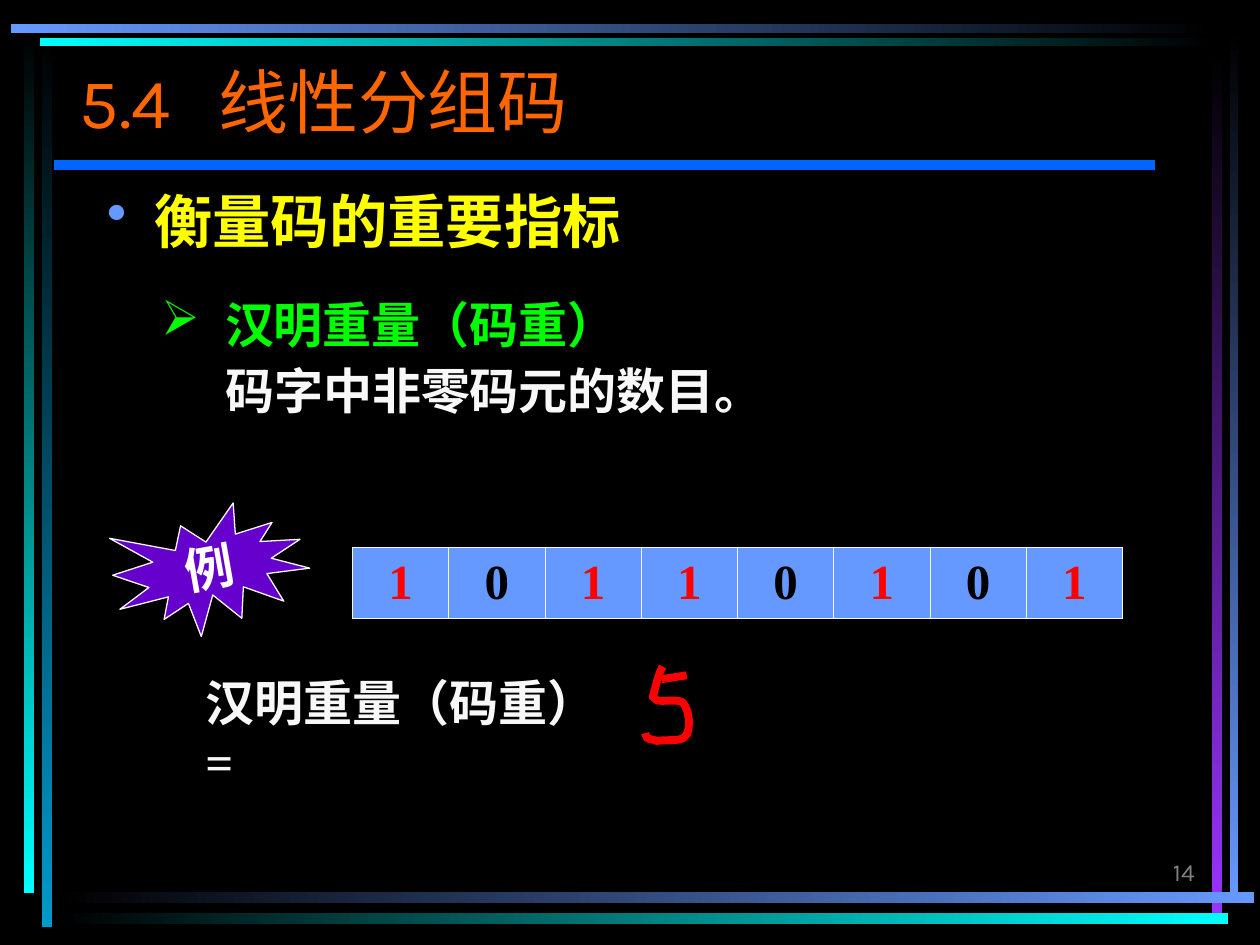
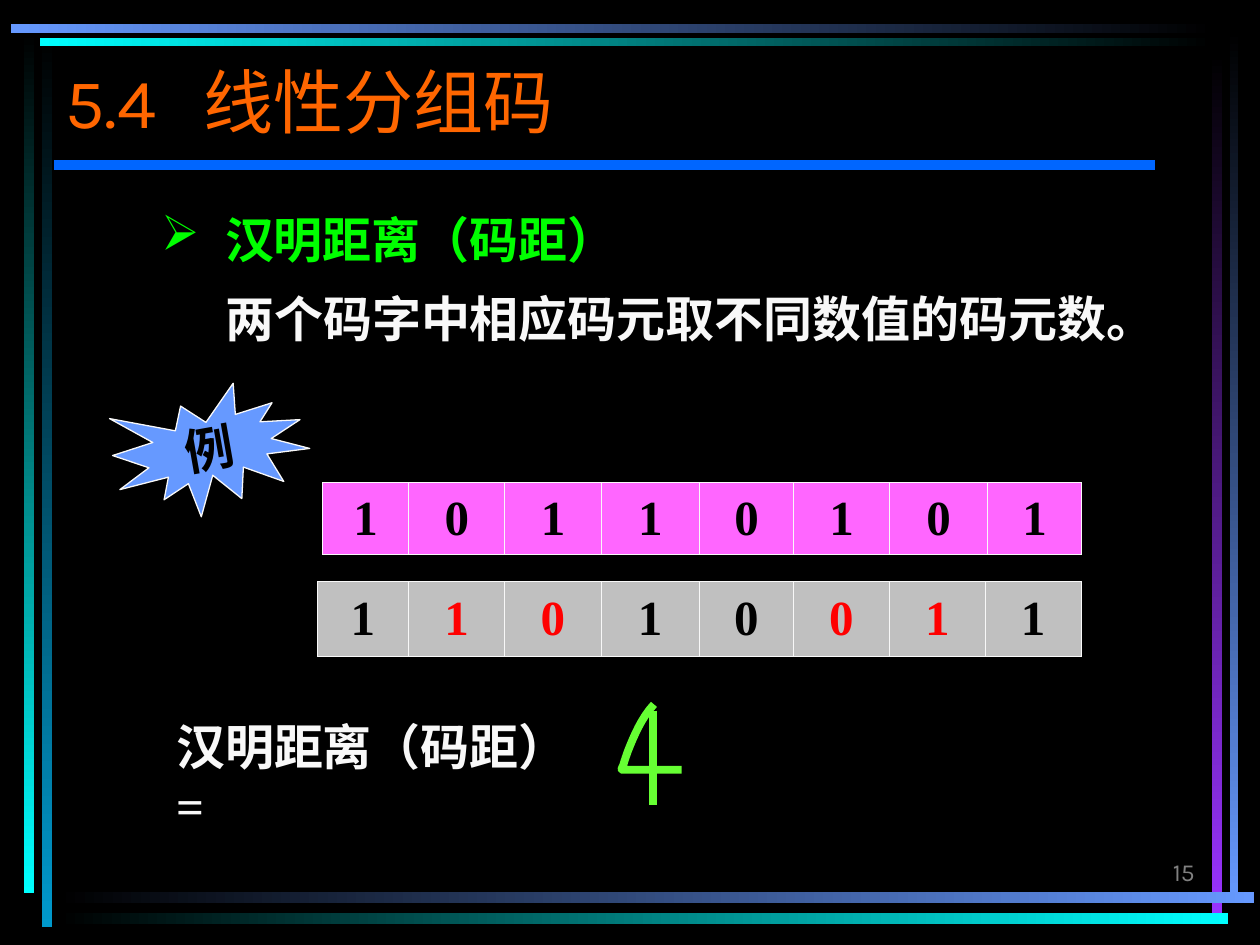
from dataclasses import dataclass

from lxml.etree import SubElement
from pptx import Presentation
from pptx.dml.color import RGBColor
from pptx.enum.shapes import MSO_CONNECTOR, MSO_SHAPE
from pptx.enum.text import MSO_ANCHOR, PP_ALIGN
from pptx.oxml.ns import qn
from pptx.util import Pt


@dataclass(frozen=True)
class Theme:
    black: str = "000000"
    white: str = "F8F8F8"
    pure_white: str = "FFFFFF"
    gray: str = "808080"
    silver: str = "C0C0C0"
    blue: str = "6699FF"
    rule_blue: str = "0066FF"
    teal: str = "0099CC"
    cyan: str = "00FFFF"
    violet: str = "9933FF"
    purple: str = "6600CC"
    pink: str = "FF66FF"
    orange: str = "FF6600"
    yellow: str = "FFFF00"
    green: str = "00FF00"
    lime: str = "66FF33"
    red: str = "FF0000"
    heading_font: str = "Karla"
    body_font: str = "Times New Roman"
    title_size: float = 40
    topic_size: float = 33.3
    body_size: float = 28
    number_size: float = 14
    thin_line: float = 0.75
    cell_line: float = 0.45
    pen_line: float = 4.5
    rule_line: float = 6


THEME = Theme()

# Frame bars: left, top, width, height, first colour, last colour
FRAME_BARS = [
    (23.8, 20.2, 5.8, 509.8, THEME.black, THEME.teal),
    (13.7, 18, 6, 492.5, THEME.black, THEME.cyan),
    (702.7, 17.3, 5, 499, THEME.black, THEME.blue),
    (692.6, 30.2, 6, 491.8, THEME.black, THEME.violet),
    (32.4, 509.8, 684, 6, THEME.black, THEME.blue),
    (32.4, 522, 669.6, 6, THEME.black, THEME.cyan),
    (23, 21.6, 671, 4.6, THEME.cyan, THEME.black),
    (6, 13.5, 688, 5.2, THEME.blue, THEME.black),
]


def color(value):
    return RGBColor.from_string(value)


def curve_points(start, segments, steps=8):
    """Points along a chain of cubic curves."""
    points = [start]
    for control_1, control_2, end in segments:
        begin = points[-1]
        for step in range(1, steps + 1):
            t = step / steps
            u = 1 - t
            points.append(tuple(
                u**3 * a + 3 * u * u * t * b + 3 * u * t * t * c + t**3 * d
                for a, b, c, d in zip(begin, control_1, control_2, end)))
    return points


class Deck:
    def __init__(self, theme):
        self.theme = theme
        self.presentation = Presentation()
        self.presentation.slide_width = Pt(720)
        self.presentation.slide_height = Pt(540)
        self.slide = None

    def new_slide(self, number, title, title_inset=7.2):
        theme = self.theme
        layout = self.presentation.slide_layouts[6]
        self.slide = self.presentation.slides.add_slide(layout)
        background = self.slide.background.fill
        background.solid()
        background.fore_color.rgb = color(theme.black)
        for bar in FRAME_BARS:
            self.gradient_bar(*bar)
        self.line((31, 94.3), (660.2, 94.3), theme.rule_blue, theme.rule_line)
        self.text(str(number), 540, 473.8, 149.8, 36, theme.number_size,
                  theme.gray, font=theme.heading_font, bold=False,
                  align=PP_ALIGN.RIGHT, anchor=MSO_ANCHOR.BOTTOM)
        self.text(title, 30.2, 30.2, 630, 66, theme.title_size, theme.orange,
                  font=theme.heading_font, bold=False, inset=title_inset, tab=79)

    def gradient_bar(self, left, top, width, height, first, last):
        bar = self.slide.shapes.add_shape(
            MSO_SHAPE.RECTANGLE, Pt(left), Pt(top), Pt(width), Pt(height))
        bar.shadow.inherit = False
        bar.line.fill.background()
        bar.fill.gradient()
        bar.fill.gradient_angle = 270 if height > width else 0
        for stop, value in zip(bar.fill.gradient_stops, (first, last)):
            stop.color.rgb = color(value)

    def line(self, start, end, value, width):
        connector = self.slide.shapes.add_connector(
            MSO_CONNECTOR.STRAIGHT, *(Pt(number) for number in start + end))
        connector.line.color.rgb = color(value)
        connector.line.width = Pt(width)
        SubElement(connector._element.spPr, qn("a:effectLst"))

    def style(self, paragraph, size, value, font=None, bold=True, align=PP_ALIGN.LEFT):
        paragraph.alignment = align
        paragraph.font.name = font or self.theme.body_font
        paragraph.font.size = Pt(size)
        paragraph.font.bold = bold
        paragraph.font.color.rgb = color(value)

    def text(self, words, left, top, width, height, size, value, font=None,
             bold=True, align=PP_ALIGN.LEFT, anchor=MSO_ANCHOR.TOP, inset=7.2,
             tab=None, bullet=None, bullet_color=None, hanging=0):
        box = self.slide.shapes.add_textbox(Pt(left), Pt(top), Pt(width), Pt(height))
        frame = box.text_frame
        frame.word_wrap = True
        frame.vertical_anchor = anchor
        frame.margin_left = Pt(inset)
        paragraph = frame.paragraphs[0]
        paragraph.text = words
        properties = paragraph._p.get_or_add_pPr()
        if bullet:
            properties.set("marL", str(Pt(hanging)))
            properties.set("indent", str(-Pt(hanging)))
            mark_color = SubElement(properties, qn("a:buClr"))
            SubElement(mark_color, qn("a:srgbClr"), val=bullet_color)
            SubElement(properties, qn("a:buChar"), char=bullet)
        if tab:
            stops = SubElement(properties, qn("a:tabLst"))
            SubElement(stops, qn("a:tab"), pos=str(Pt(tab)), algn="l")
        self.style(paragraph, size, value, font, bold, align)

    def body(self, words, left, top, width, height=41):
        self.text(words, left, top, width, height, self.theme.body_size, self.theme.white)

    def term(self, words, top):
        self.text(words, 85, top, 408.2, 41, self.theme.body_size, self.theme.green,
                  bullet="➢", bullet_color=self.theme.green, hanging=36.5)

    def example_burst(self, top, fill, value):
        burst = self.slide.shapes.add_shape(
            MSO_SHAPE.EXPLOSION1, Pt(64.8), Pt(top), Pt(111.6), Pt(72))
        burst.rotation = 350
        burst.shadow.inherit = False
        burst.fill.solid()
        burst.fill.fore_color.rgb = color(fill)
        burst.line.color.rgb = color(self.theme.white)
        burst.line.width = Pt(self.theme.thin_line)
        frame = burst.text_frame
        frame.word_wrap = False
        frame.vertical_anchor = MSO_ANCHOR.MIDDLE
        frame.paragraphs[0].text = "例"
        self.style(frame.paragraphs[0], self.theme.body_size, value, align=PP_ALIGN.CENTER)

    def codeword(self, bits, red_places, left, top, widths, height, fill):
        table = self.slide.shapes.add_table(
            1, len(bits), Pt(left), Pt(top), Pt(sum(widths)), Pt(height)).table
        table.first_row = table.horz_banding = False
        table.rows[0].height = Pt(height)
        for place, (bit, width) in enumerate(zip(bits, widths)):
            table.columns[place].width = Pt(width)
            cell = table.cell(0, place)
            cell.vertical_anchor = MSO_ANCHOR.MIDDLE
            paragraph = cell.text_frame.paragraphs[0]
            paragraph.text = bit
            value = self.theme.red if place in red_places else self.theme.black
            self.style(paragraph, self.theme.body_size, value, align=PP_ALIGN.CENTER)
            self.cell_borders(cell)
            cell.fill.solid()
            cell.fill.fore_color.rgb = color(fill)

    def cell_borders(self, cell):
        properties = cell._tc.get_or_add_tcPr()
        for side in ("a:lnL", "a:lnR", "a:lnT", "a:lnB"):
            border = SubElement(properties, qn(side), w=str(Pt(self.theme.cell_line)))
            fill = SubElement(border, qn("a:solidFill"))
            SubElement(fill, qn("a:srgbClr"), val=self.theme.white)

    def pen_stroke(self, start, segments, value):
        points = [(Pt(x), Pt(y)) for x, y in curve_points(start, segments)]
        builder = self.slide.shapes.build_freeform(*points[0])
        builder.add_line_segments(points[1:], close=False)
        stroke = builder.convert_to_shape()
        stroke.shadow.inherit = False
        stroke.fill.background()
        stroke.line.color.rgb = color(value)
        stroke.line.width = Pt(self.theme.pen_line)


def hamming_weight(deck):
    theme = deck.theme
    deck.new_slide(14, "5.4\t线性分组码", title_inset=15.5)

    # Definition
    deck.text("衡量码的重要指标", 54, 102.2, 348.5, 49, theme.topic_size, theme.yellow,
              font=theme.heading_font, bullet="•", bullet_color=theme.blue, hanging=27)
    deck.term("汉明重量（码重）", 164.9)
    deck.body("码字中非零码元的数目。", 121.7, 202.3, 345.6)

    # Example
    deck.body("汉明重量（码重）\v=", 110.2, 380.9, 257.8, 74.9)
    deck.example_burst(290.2, theme.purple, theme.pure_white)
    deck.codeword("10110101", {0, 2, 3, 5, 7}, 201.4, 312.6, [55] * 8, 41, theme.blue)

    # Handwritten 5
    deck.pen_stroke((378.7, 380.9), [
        ((375.8, 385.9), (375.1, 391.7), (373, 398.2)),
        ((374.4, 398.9), (375.1, 400.3), (375.8, 400.3)),
        ((380.2, 401), (385.2, 399.6), (389.5, 401)),
        ((391.7, 402.5), (393.1, 407.5), (393.1, 407.5)),
        ((393.1, 409), (393.8, 411.1), (393.8, 412.6)),
        ((393.8, 426.2), (385.9, 421.9), (375.1, 423.4)),
        ((373.7, 422.6), (371.5, 422.6), (370.1, 421.9)),
        ((369.4, 421.2), (368.6, 419), (368.6, 419)),
    ], theme.red)
    deck.line((378, 388.1), (392.4, 385.9), theme.red, theme.pen_line)


def hamming_distance(deck):
    theme = deck.theme
    deck.new_slide(15, "5.4\t线性分组码")

    # Definition
    deck.term("汉明距离（码距）", 115.9)
    deck.body("两个码字中相应码元取不同数值的码元数。", 121.7, 161.3, 558.7)

    # Example
    deck.example_burst(221.8, theme.blue, theme.black)
    deck.codeword("10110101", set(), 184.3, 275.8,
                  [49.2, 55, 55, 56.4, 53.6, 55, 56, 53.6], 41, theme.pink)
    deck.codeword("11010011", {1, 2, 5, 6}, 181.4, 332.4,
                  [52, 55, 55, 56.4, 53.4, 55.2, 54.6, 55], 42.7, theme.silver)
    deck.body("汉明距离（码距）\v=", 93.6, 406.1, 257.8, 74.9)

    # Handwritten 4
    deck.pen_stroke((373.7, 402.5), [
        ((366.5, 410.4), (362.2, 420.5), (358.6, 429.8)),
        ((357.8, 432), (357.1, 434.2), (356.4, 436.3)),
        ((356.4, 437.8), (354.2, 439.9), (355.7, 439.9)),
        ((366.5, 439.9), (378, 439.9), (389.5, 439.9)),
    ], theme.lime)
    deck.line((373, 406.1), (373, 460.1), theme.lime, theme.pen_line)


def main():
    deck = Deck(THEME)
    hamming_weight(deck)
    hamming_distance(deck)
    deck.presentation.save("out.pptx")


if __name__ == "__main__":
    main()
